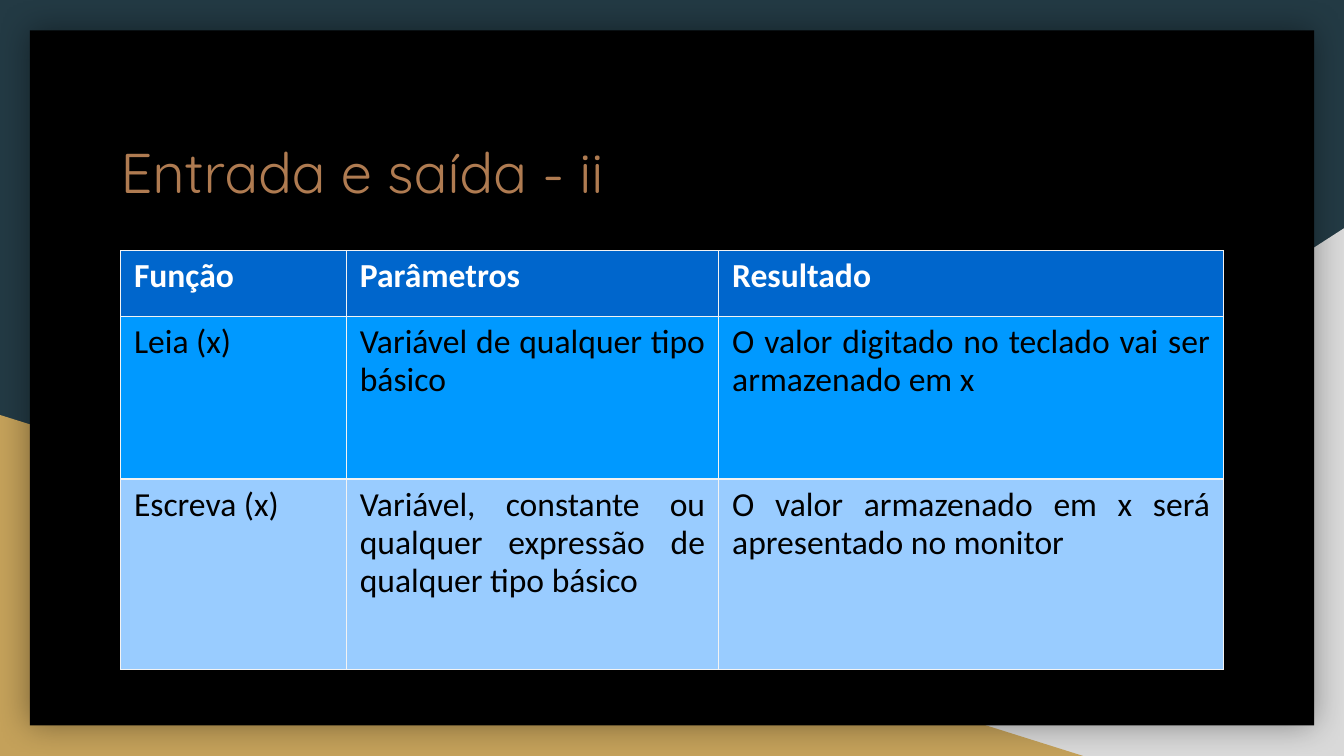
import pptx
import pptx.util
import pptx.dml.color
import pptx.enum.shapes
import pptx.enum.text
import pptx.oxml
import pptx.oxml.ns
from lxml import etree

Pt = pptx.util.Pt
RGB = pptx.dml.color.RGBColor.from_string
qn = pptx.oxml.ns.qn
MSO_SHAPE = pptx.enum.shapes.MSO_SHAPE

# Content
TITLE = "Entrada e saída - ii"
ROWS = [
    ("Função", "Parâmetros", "Resultado"),
    ("Leia (x)", "Variável de qualquer tipo básico",
     "O valor digitado no teclado vai ser armazenado em x"),
    ("Escreva (x)", "Variável, constante ou qualquer expressão de qualquer tipo básico",
     "O valor armazenado em x será apresentado no monitor"),
]

# Theme
THEME = {
    "back": "233A44", "grey": "D9D9D9", "gold": "C4A15A", "panel": "000000",
    "border": "F3F3F3", "row_fills": ["0066CC", "0099FF", "99CCFF"],
    "title": {"name": "Quicksand", "size": Pt(30), "bold": False, "color": "AF7B51"},
    "head": {"name": "Calibri", "size": Pt(18), "bold": True, "color": "FFFFFF"},
    "body": {"name": "Calibri", "size": Pt(18), "bold": False, "color": "000000"},
}

# Layout, in points
WIDTH, HEIGHT = 720, 405
LEFT, TABLE_TOP = 64.6, 134.3
COL_WIDTHS = [121, 199.5, 270.5]
ROW_HEIGHTS = [35.3, 87, 102.3]
BACKDROP = [  # preset, left, top, right, bottom, colour, mirrored
    (MSO_SHAPE.RIGHT_TRIANGLE, 282.3, 122.3, WIDTH, HEIGHT, "grey", True),
    (MSO_SHAPE.RIGHT_TRIANGLE, 0, 222.3, 580.3, HEIGHT, "gold", False),
    (MSO_SHAPE.RECTANGLE, 16, 16.3, 704, 388.7, "panel", False),
]


def write(tf, text, style, **para):
    p = tf.paragraphs[0]
    for key, value in para.items():
        setattr(p, key, value)
    r = p.add_run()
    r.text = text
    for key in ("name", "size", "bold"):
        setattr(r.font, key, style[key])
    r.font.color.rgb = RGB(style["color"])


def add_shadow(sp, blur, alpha):
    effects = sp._element.spPr.find(qn("a:effectLst"))
    shadow = etree.SubElement(effects, qn("a:outerShdw"), blurRad=str(Pt(blur)), dist="0")
    color = etree.SubElement(shadow, qn("a:srgbClr"), val="000000")
    etree.SubElement(color, qn("a:alpha"), val=str(alpha * 1000))


def add_borders(cell, color, width):
    props = cell._tc.get_or_add_tcPr()
    for i, side in enumerate(("lnL", "lnR", "lnT", "lnB")):
        line = etree.Element(qn(f"a:{side}"), w=str(Pt(width)))
        fill = etree.SubElement(line, qn("a:solidFill"))
        etree.SubElement(fill, qn("a:srgbClr"), val=color)
        props.insert(i, line)


prs = pptx.Presentation()
prs.slide_width, prs.slide_height = Pt(WIDTH), Pt(HEIGHT)
s = prs.slides.add_slide(prs.slide_layouts[5])
s.background.fill.solid()
s.background.fill.fore_color.rgb = RGB(THEME["back"])

# Backdrop triangles and panel
for preset, left, top, right, bottom, color, mirrored in BACKDROP:
    sp = s.shapes.add_shape(preset, Pt(left), Pt(top), Pt(right - left), Pt(bottom - top))
    sp.shadow.inherit = False
    sp.fill.solid()
    sp.fill.fore_color.rgb = RGB(THEME[color])
    sp.line.fill.background()
    if mirrored:
        sp._element.spPr.find(qn("a:xfrm")).set("flipH", "1")
    if color == "panel":
        add_shadow(sp, 18, 40)

# Title, brought in front of the panel
title = s.shapes.title
s.shapes._spTree.append(title._element)
box = {"left": LEFT, "top": 66.3, "width": sum(COL_WIDTHS), "height": 75}
for key, value in box.items():
    setattr(title, key, Pt(value))
tf = title.text_frame
frame = {"margin_left": 0, "margin_right": 0, "margin_top": Pt(7.2), "margin_bottom": Pt(7.2),
         "word_wrap": True, "vertical_anchor": pptx.enum.text.MSO_ANCHOR.TOP,
         "auto_size": pptx.enum.text.MSO_AUTO_SIZE.NONE}
for key, value in frame.items():
    setattr(tf, key, value)
write(tf, TITLE, THEME["title"], alignment=pptx.enum.text.PP_ALIGN.LEFT)

# Table
table = s.shapes.add_table(len(ROWS), len(COL_WIDTHS), Pt(LEFT), Pt(TABLE_TOP),
                           Pt(sum(COL_WIDTHS)), Pt(sum(ROW_HEIGHTS))).table
table.horz_banding = False
for col, width in zip(table.columns, COL_WIDTHS):
    col.width = Pt(width)
for i, (row, height, fill) in enumerate(zip(table.rows, ROW_HEIGHTS, THEME["row_fills"])):
    row.height = Pt(height)
    for cell, text in zip(row.cells, ROWS[i]):
        cell.fill.solid()
        cell.fill.fore_color.rgb = RGB(fill)
        add_borders(cell, THEME["border"], 0.75)
        write(cell.text_frame, text, THEME["body" if i else "head"],
              alignment=pptx.enum.text.PP_ALIGN.JUSTIFY, line_spacing=0.93)

prs.save("out.pptx")
